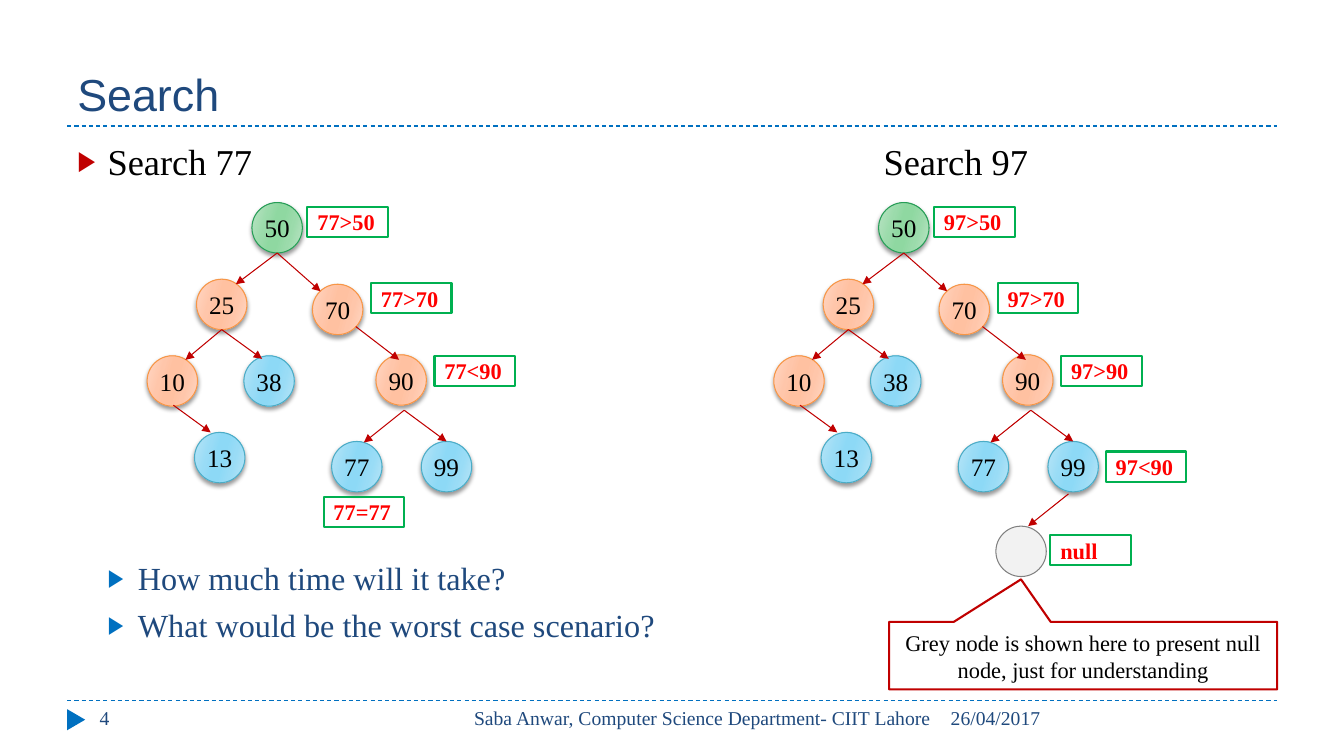
import pptx
import pptx.dml.color
import pptx.enum.dml
import pptx.enum.shapes
import pptx.enum.text
import pptx.oxml.ns
import pptx.util
import lxml.etree

RGBColor = pptx.dml.color.RGBColor
Shapes = pptx.enum.shapes.MSO_SHAPE
Align = pptx.enum.text.PP_ALIGN
Anchor = pptx.enum.text.MSO_ANCHOR
qn = pptx.oxml.ns.qn

NAVY = RGBColor(0x1F, 0x49, 0x7D)
BLUE = RGBColor(0x00, 0x70, 0xC0)
DARK_RED = RGBColor(0xC0, 0x00, 0x00)
RED = RGBColor(0xFF, 0x00, 0x00)
GREEN = RGBColor(0x00, 0xB0, 0x50)
BLACK = RGBColor(0x00, 0x00, 0x00)
WHITE = RGBColor(0xFF, 0xFF, 0xFF)
LIGHT_GREY = RGBColor(0xF2, 0xF2, 0xF2)
GREY = RGBColor(0x80, 0x80, 0x80)

# Node kinds: outline, then gradient colours from the edge to the middle
ROOT = (RGBColor(0x27, 0x9D, 0x57), RGBColor(0xBB, 0xE4, 0xC5),
        RGBColor(0x9B, 0xDB, 0xAB), RGBColor(0x8F, 0xD8, 0xA1))
INNER = (RGBColor(0xF7, 0x96, 0x46), RGBColor(0xFF, 0xD7, 0xC5),
         RGBColor(0xFF, 0xC6, 0xAA), RGBColor(0xFF, 0xC1, 0xA1))
LEAF = (RGBColor(0x4B, 0xAC, 0xC6), RGBColor(0xB9, 0xE5, 0xF7),
        RGBColor(0x99, 0xDC, 0xF6), RGBColor(0x8D, 0xD9, 0xF6))

# All positions are in grid units: 40 columns by 22.5 rows
COLUMNS, ROWS = 40, 22.5
NODE_SIZE = 1.5
NODES = [
    ("50", ROOT, 7.5, 6.03), ("25", INNER, 5.85, 8.31), ("70", INNER, 9.3, 8.46),
    ("10", INNER, 4.38, 10.59), ("38", LEAF, 7.26, 10.59), ("90", INNER, 11.19, 10.56),
    ("13", LEAF, 5.79, 12.87), ("77", LEAF, 9.87, 13.14), ("99", LEAF, 12.54, 13.14),
]
EDGES = [
    (8.25, 7.53, 7.02, 8.46), (8.25, 7.53, 9.54, 8.67),
    (6.6, 9.81, 5.52, 10.71), (6.6, 9.81, 7.8, 10.68),
    (10.59, 9.72, 11.88, 10.71), (5.16, 12.06, 6.27, 12.87),
    (12.03, 12.21, 10.83, 13.17), (12.03, 12.21, 13.29, 13.14),
]
COMPARISON_SPOTS = [(9.15, 6.15), (11.04, 8.43), (12.93, 10.59)]
SECOND_TREE = 18.65


class SlideBuilder:
    serif = "Times New Roman"
    sans = "Arial"

    def __init__(self, presentation):
        self.slide = presentation.slides.add_slide(presentation.slide_layouts[1])
        self.column = presentation.slide_width / COLUMNS
        self.row = presentation.slide_height / ROWS

    def box(self, left, top, width, height):
        return (round(left * self.column), round(top * self.row),
                round(width * self.column), round(height * self.row))

    def add_text(self, paragraph, text, size, color, font=None, bold=False, align=Align.LEFT):
        paragraph.alignment = align
        run = paragraph.add_run()
        run.text = text
        run.font.name = font or self.serif
        run.font.size = pptx.util.Pt(size)
        run.font.color.rgb = color
        run.font.bold = bold

    def place(self, placeholder, *area):
        (placeholder.left, placeholder.top,
         placeholder.width, placeholder.height) = self.box(*area)
        placeholder.text_frame.auto_size = pptx.enum.text.MSO_AUTO_SIZE.NONE
        return placeholder.text_frame

    def title(self, text, *area):
        frame = self.place(self.slide.shapes.title, *area)
        frame.vertical_anchor = Anchor.BOTTOM
        self.add_text(frame.paragraphs[0], text, 32, NAVY, self.sans)

    def bullets(self, items, *area):
        frame = self.place(self.slide.placeholders[1], *area)
        frame.vertical_anchor = Anchor.TOP
        for index, (text, level, size, color, bullet_color, before) in enumerate(items):
            paragraph = frame.paragraphs[0] if index == 0 else frame.add_paragraph()
            paragraph.level = level
            paragraph.space_before = pptx.util.Pt(before)
            indent = pptx.util.Inches(0.3)
            properties = paragraph._p.get_or_add_pPr()
            properties.set("marL", str(indent * (level + 1)))
            properties.set("indent", str(-indent))
            bullet = lxml.etree.SubElement(properties, qn("a:buClr"))
            lxml.etree.SubElement(bullet, qn("a:srgbClr"), val=str(bullet_color))
            lxml.etree.SubElement(properties, qn("a:buSzPct"), val="76000")
            lxml.etree.SubElement(properties, qn("a:buFont"), typeface=self.sans)
            lxml.etree.SubElement(properties, qn("a:buChar"), char="▶")
            self.add_text(paragraph, text, size, color)

    def label(self, text, size, color, *area, align=Align.LEFT):
        frame = self.slide.shapes.add_textbox(*self.box(*area)).text_frame
        frame.word_wrap = True
        self.add_text(frame.paragraphs[0], text, size, color, align=align)

    def shape(self, kind, area, fill=None, line=None, width=0.75):
        shape = self.slide.shapes.add_shape(kind, *self.box(*area))
        shape.shadow.inherit = False
        if fill is None:
            shape.fill.background()
        else:
            shape.fill.solid()
            shape.fill.fore_color.rgb = fill
        if line is None:
            shape.line.fill.background()
        else:
            shape.line.color.rgb = line
            shape.line.width = pptx.util.Pt(width)
        shape.text_frame.word_wrap = True
        shape.text_frame.vertical_anchor = Anchor.MIDDLE
        return shape

    def line(self, ends, color, dashed=False, arrow=False):
        left, top, right, bottom = ends
        connector = self.slide.shapes.add_connector(
            pptx.enum.shapes.MSO_CONNECTOR.STRAIGHT,
            *self.box(left, top, right, bottom))
        connector.line.color.rgb = color
        connector.line.width = pptx.util.Pt(0.75)
        if dashed:
            connector.line.dash_style = pptx.enum.dml.MSO_LINE.DASH
        if arrow:
            lxml.etree.SubElement(connector.line._get_or_add_ln(),
                                  qn("a:tailEnd"), type="triangle")
        lxml.etree.SubElement(connector._element.spPr, qn("a:effectLst"))

    def node(self, text, kind, left, top):
        outline, edge, between, middle = kind
        node = self.shape(Shapes.OVAL, (left, top, NODE_SIZE, NODE_SIZE), middle, outline)
        # Gradient
        node.fill.gradient()
        node.fill.gradient_angle = 344
        stops = node._element.spPr.find(".//" + qn("a:gsLst"))
        for stop in list(stops):
            stops.remove(stop)
        colors = (edge, between, middle, middle, between, edge)
        for position, color in zip((0, 30, 45, 55, 73, 100), colors):
            stop = lxml.etree.SubElement(stops, qn("a:gs"), pos=str(position * 1000))
            lxml.etree.SubElement(stop, qn("a:srgbClr"), val=str(color))
        # Soft shadow below
        shadow = lxml.etree.SubElement(
            node._element.spPr.find(qn("a:effectLst")), qn("a:outerShdw"),
            blurRad=str(pptx.util.Pt(3)), dist=str(pptx.util.Pt(2)),
            dir="5400000", rotWithShape="0")
        shade = lxml.etree.SubElement(shadow, qn("a:srgbClr"), val=str(BLACK))
        lxml.etree.SubElement(shade, qn("a:alpha"), val="40000")
        node.text_frame.margin_left = node.text_frame.margin_right = 0
        self.add_text(node.text_frame.paragraphs[0], text, 18, BLACK, align=Align.CENTER)

    def comparison(self, text, left, top):
        box = self.shape(Shapes.RECTANGLE, (left, top, 2.4, 0.9), line=GREEN, width=1.5)
        self.add_text(box.text_frame.paragraphs[0], text, 16, RED, bold=True)

    def tree(self, offset, comparisons):
        for text, (left, top) in zip(comparisons, COMPARISON_SPOTS):
            self.comparison(text, left + offset, top)
        for text, kind, left, top in NODES:
            self.node(text, kind, left + offset, top)
        for left, top, right, bottom in EDGES:
            self.line((left + offset, top, right + offset, bottom), DARK_RED, arrow=True)

    def callout(self, text, *area):
        callout = self.shape(Shapes.RECTANGULAR_CALLOUT, area, WHITE, DARK_RED, 1.5)
        callout.adjustments[0], callout.adjustments[1] = -0.16, -1.13
        self.add_text(callout.text_frame.paragraphs[0], text, 16, BLACK, align=Align.CENTER)


def main():
    presentation = pptx.Presentation()
    presentation.slide_width = pptx.util.Inches(13.33)
    presentation.slide_height = pptx.util.Inches(7.5)
    builder = SlideBuilder(presentation)

    # Title, rules and footer
    builder.title("Search", 2, 0.5, 36, 3.25)
    for height in (3.75, 20.85):
        builder.line((2, height, 38, height), BLUE, dashed=True)
    marker = builder.shape(Shapes.ISOSCELES_TRIANGLE, (1.95, 21.15, 0.63, 0.54), BLUE)
    marker.rotation = 90
    builder.label("4", 14, NAVY, 2.67, 20.85, 8.67, 1.2)
    builder.label("Saba Anwar, Computer Science Department- CIIT Lahore", 14, NAVY,
                  12.7, 20.85, 15.3, 1.2, align=Align.RIGHT)
    builder.label("26/04/2017", 14, NAVY, 28, 20.85, 10, 1.2)

    # Headings and questions
    builder.bullets([
        ("Search 77", 0, 26, BLACK, DARK_RED, 0),
        ("How much time will it take?", 1, 23, NAVY, BLUE, 268),
        ("What would be the worst case scenario?", 1, 23, NAVY, BLUE, 6),
    ], 2, 4, 36, 16.2)
    builder.label("Search 97", 26, BLACK, 26, 4, 6, 1.5)

    # Successful search
    builder.tree(0, ["77>50", "77>70", "77<90"])
    builder.comparison("77=77", 9.63, 14.79)

    # Search that ends at a null node
    builder.tree(SECOND_TREE, ["97>50", "97>70", "97>90"])
    builder.comparison("97<90", 32.91, 13.44)
    builder.shape(Shapes.OVAL, (29.64, 15.66, NODE_SIZE, NODE_SIZE), LIGHT_GREY, GREY)
    builder.line((31.8, 14.7, 30.6, 15.66), DARK_RED, arrow=True)
    builder.comparison("null", 31.26, 15.93)
    builder.callout("Grey node is shown here to present null node, just for understanding",
                    26.46, 18.51, 11.55, 2.01)

    presentation.save("out.pptx")


if __name__ == "__main__":
    main()
